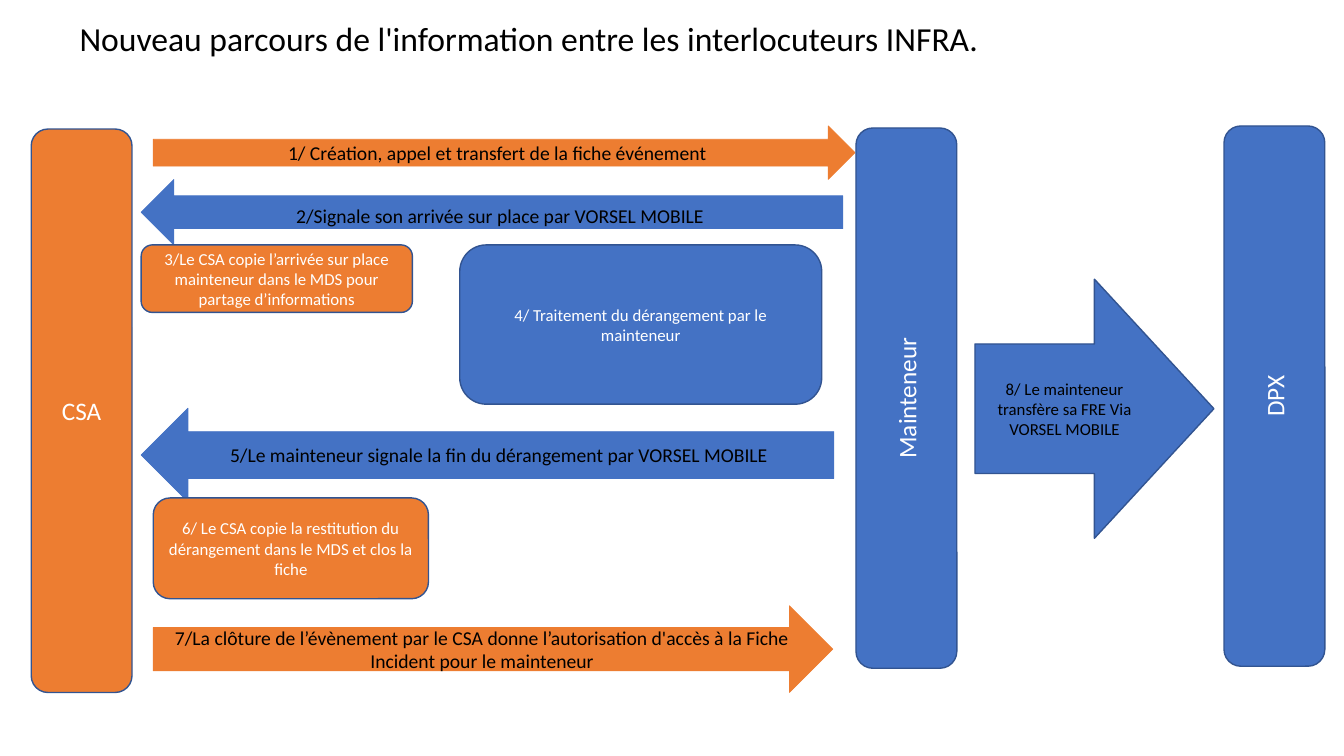
from dataclasses import dataclass

import pptx
import pptx.dml.color
import pptx.enum.shapes
import pptx.enum.text
import pptx.util

KIND = pptx.enum.shapes.MSO_SHAPE
ALIGN = pptx.enum.text.PP_ALIGN
ANCHOR = pptx.enum.text.MSO_ANCHOR
SCALE = 9144  # EMU in one px, 100 px to the inch


@dataclass(frozen=True)
class Theme:
    font: str = "Calibri"
    blue: str = "4472C4"
    orange: str = "ED7D31"
    edge: str = "325491"
    black: str = "000000"
    white: str = "FFFFFF"
    title: int = 24
    actor: int = 18
    flow: int = 14
    note: int = 12


THEME = Theme()


@dataclass(frozen=True)
class Block:
    kind: KIND
    box: tuple[int, int, int, int]  # left, top, width, height in px
    text: str
    fill: str
    size: int
    ink: str = THEME.white
    edge: str = THEME.edge
    line: float = 1
    turn: bool = False
    top: int = 5
    base: int = 5


def px(count: int) -> pptx.util.Emu:
    return pptx.util.Emu(count * SCALE)


def color(code: str) -> pptx.dml.color.RGBColor:
    return pptx.dml.color.RGBColor.from_string(code)


def flow(kind: KIND, box: tuple[int, int, int, int], text: str,
         fill: str, top: int = 5, base: int = 5) -> Block:
    return Block(kind, box, text, fill, THEME.flow, THEME.black,
                 fill, 0.5, top=top, base=base)


def note(box: tuple[int, int, int, int], text: str, fill: str) -> Block:
    return Block(KIND.ROUNDED_RECTANGLE, box, text, fill, THEME.note)


def actor(box: tuple[int, int, int, int], text: str, fill: str,
          turn: bool = True) -> Block:
    return Block(KIND.ROUNDED_RECTANGLE, box, text, fill, THEME.actor, turn=turn)


def write(shape, text: str, size: int, ink: str, align: ALIGN,
          frame: dict[str, object]) -> None:
    for name, value in frame.items():
        setattr(shape.text_frame, name, value)
    para = shape.text_frame.paragraphs[0]
    para.alignment = align
    run = para.add_run()
    run.text = text
    style = {"name": THEME.font, "size": pptx.util.Pt(size)}
    for name, value in style.items():
        setattr(run.font, name, value)
    run.font.color.rgb = color(ink)


def draw(slide, block: Block) -> None:
    shape = slide.shapes.add_shape(block.kind, *map(px, block.box))
    shape.shadow.inherit = False
    shape.fill.solid()
    shape.fill.fore_color.rgb = color(block.fill)
    shape.line.color.rgb = color(block.edge)
    shape.line.width = pptx.util.Pt(block.line)
    write(shape, block.text, block.size, block.ink, ALIGN.CENTER, {
        "word_wrap": True,
        "vertical_anchor": ANCHOR.MIDDLE,
        "margin_top": px(block.top),
        "margin_bottom": px(block.base),
    })
    if block.turn:
        shape.text_frame._txBody.bodyPr.set("vert", "vert270")


BLOCKS = [
    # Exchanges between CSA and maintainer
    flow(KIND.RIGHT_ARROW, (152, 125, 696, 53),
         "1/ Création, appel et transfert de la fiche événement", THEME.orange),
    flow(KIND.LEFT_ARROW, (140, 178, 696, 65),
         "2/Signale son arrivée sur place par VORSEL MOBILE", THEME.blue, 6, 0),
    flow(KIND.LEFT_ARROW, (140, 405, 687, 93),
         "5/Le mainteneur signale la fin du dérangement par VORSEL MOBILE",
         THEME.blue),
    flow(KIND.RIGHT_ARROW, (152, 601, 674, 86),
         "7/La clôture de l’évènement par le CSA donne l’autorisation d'accès "
         "à la Fiche Incident pour le mainteneur", THEME.orange),
    # Steps done by one side
    note((456, 243, 359, 158),
         "4/ Traitement du dérangement par le mainteneur", THEME.blue),
    note((140, 243, 269, 67),
         "3/Le CSA copie l’arrivée sur place mainteneur dans le MDS "
         "pour partage d’informations", THEME.orange),
    note((152, 494, 273, 100),
         "6/ Le CSA copie la restitution du dérangement dans le MDS et clos "
         "la fiche", THEME.orange),
    # Actors
    actor((31, 128, 100, 559), "CSA", THEME.orange, turn=False),
    actor((849, 127, 100, 536), "Mainteneur", THEME.blue),
    actor((1214, 125, 100, 536), "DPX", THEME.blue),
    # Final transfer
    Block(KIND.RIGHT_ARROW, (967, 277, 237, 257),
          "8/ Le mainteneur transfère sa FRE Via VORSEL MOBILE",
          THEME.blue, THEME.note, THEME.black),
]


def main() -> None:
    deck = pptx.Presentation()
    deck.slide_width, deck.slide_height = px(1333), px(750)
    slide = deck.slides.add_slide(deck.slide_layouts[6])

    # Title
    title = slide.shapes.add_textbox(*map(px, (69, 13, 1025, 50)))
    write(title, "Nouveau parcours de l'information entre les interlocuteurs INFRA.",
          THEME.title, THEME.black, ALIGN.LEFT, {"word_wrap": True})

    # Diagram
    for block in BLOCKS:
        draw(slide, block)
    deck.save("out.pptx")


if __name__ == "__main__":
    main()
